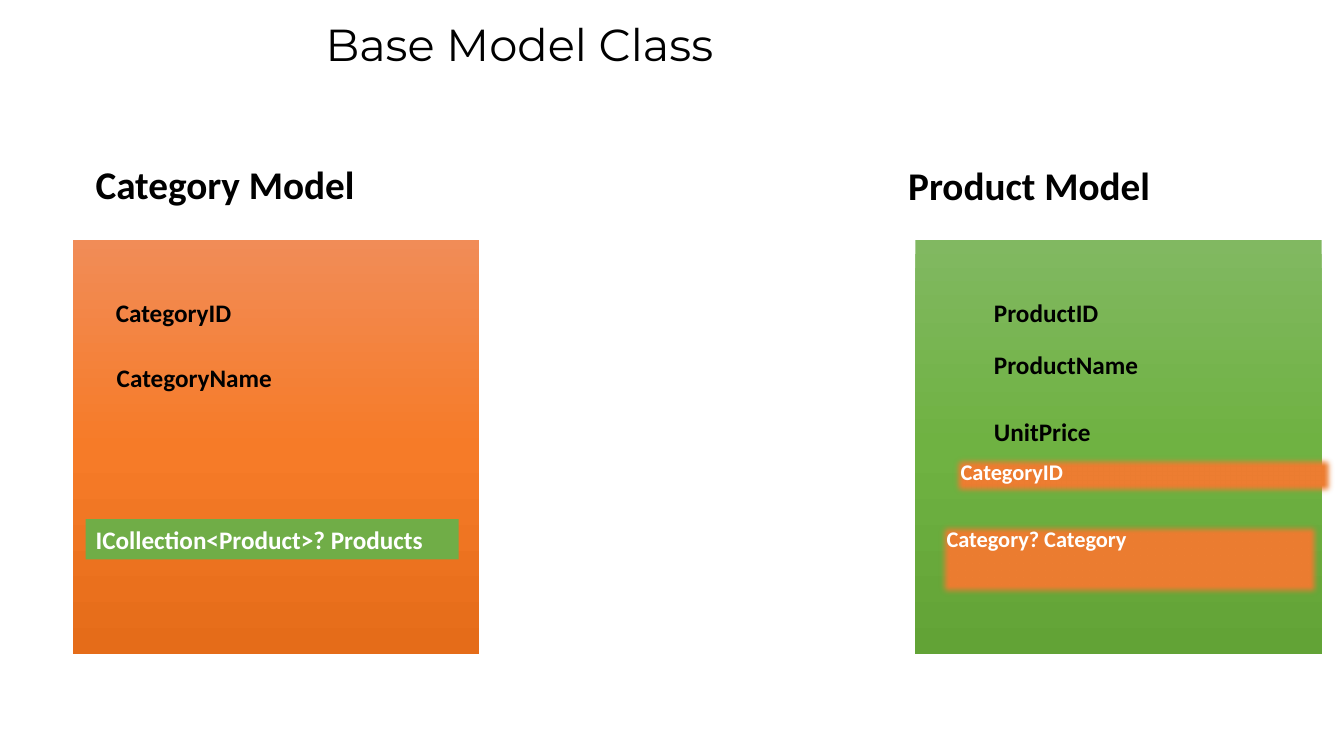
from copy import deepcopy

from lxml import etree
from pptx import Presentation
from pptx.dml.color import RGBColor
from pptx.enum.shapes import MSO_SHAPE
from pptx.enum.text import MSO_ANCHOR, PP_ALIGN
from pptx.oxml.ns import qn
from pptx.util import Inches, Pt

RECTANGLE = MSO_SHAPE.RECTANGLE
TOP = MSO_ANCHOR.TOP
LEFT = PP_ALIGN.LEFT

COLORS = {"black": "000000", "white": "FFFFFF", "orange": "ED7D31", "green": "70AD47"}
SOFT_EDGE = Inches(0.07)

# Model panels: left, gradient colours from top to bottom
PANEL_TOP, PANEL_WIDTH, PANEL_HEIGHT = 2.38, 4.03, 4.11
PANELS = [
    (0.72, ("F18C57", "F67B28", "E56C19")),
    (9.08, ("81B861", "6FB242", "62A336")),
]

TITLE = ("Base Model Class", 3.13, 0.12, 7.68, 0.64)
# Headings: text, left, top, width, height
HEADINGS = [
    ("Category Model", 0.85, 1.54, 3.5, 0.57),
    ("Product Model", 8.91, 1.55, 3.37, 0.57),
]
# Fields: text, left, top
FIELD_WIDTH, FIELD_HEIGHT = 2.67, 0.4
FIELDS = [
    ("CategoryID", 1.05, 2.9),
    ("CategoryName", 1.06, 3.55),
    ("ProductID", 9.76, 2.9),
    ("ProductName", 9.76, 3.42),
    ("UnitPrice", 9.76, 4.08),
]
# Relations: text, left, top, width, height, fill, size, soft edge
RELATIONS = [
    ("Category? Category", 9.29, 5.16, 3.83, 0.78, "orange", 16, True),
    ("ICollection<Product>? Products", 0.85, 5.15, 3.7, 0.4, "green", 18, False),
    ("CategoryID", 9.43, 4.5, 3.83, 0.44, "orange", 16, True),
]


def add_rectangle(slide, *box):
    shape = slide.shapes.add_shape(RECTANGLE, *map(Inches, box))
    shape.shadow.inherit = False
    shape.line.fill.background()
    return shape


def add_panel(slide, left, colors):
    panel = add_rectangle(slide, left, PANEL_TOP, PANEL_WIDTH, PANEL_HEIGHT)
    panel.fill.gradient()
    panel.fill.gradient_angle = 270
    stop_list = panel.fill._fill._gradFill.gsLst
    stop_list.append(deepcopy(stop_list[-1]))
    for index, (stop, color) in enumerate(zip(panel.fill.gradient_stops, colors)):
        stop.position = index / 2
        stop.color.rgb = RGBColor.from_string(color)


def write(shape, text, size, color="black", font="Calibri", bold=True):
    frame = shape.text_frame
    frame.word_wrap = True
    frame.vertical_anchor = TOP
    paragraph = frame.paragraphs[0]
    paragraph.alignment = LEFT
    run = paragraph.add_run()
    run.text = text
    run.font.name = font
    run.font.size = Pt(size)
    run.font.bold = bold
    run.font.color.rgb = RGBColor.from_string(COLORS[color])


def add_label(slide, text, *box, size, **style):
    write(slide.shapes.add_textbox(*map(Inches, box)), text, size, **style)


def add_relation(slide, text, left, top, width, height, fill, size, soft):
    bar = add_rectangle(slide, left, top, width, height)
    bar.fill.solid()
    bar.fill.fore_color.rgb = RGBColor.from_string(COLORS[fill])
    if soft:
        effects = bar._element.spPr.find(qn("a:effectLst"))
        etree.SubElement(effects, qn("a:softEdge"), rad=str(int(SOFT_EDGE)))
    write(bar, text, size, "white")


def main():
    presentation = Presentation()
    presentation.slide_width = Inches(13.33)
    presentation.slide_height = Inches(7.5)
    slide = presentation.slides.add_slide(presentation.slide_layouts[6])
    for panel in PANELS:
        add_panel(slide, *panel)
    add_label(slide, *TITLE, size=32, font="Montserrat", bold=False)
    for heading in HEADINGS:
        add_label(slide, *heading, size=28)
    for field in FIELDS:
        add_label(slide, *field, FIELD_WIDTH, FIELD_HEIGHT, size=18)
    for relation in RELATIONS:
        add_relation(slide, *relation)
    presentation.save("out.pptx")


if __name__ == "__main__":
    main()
